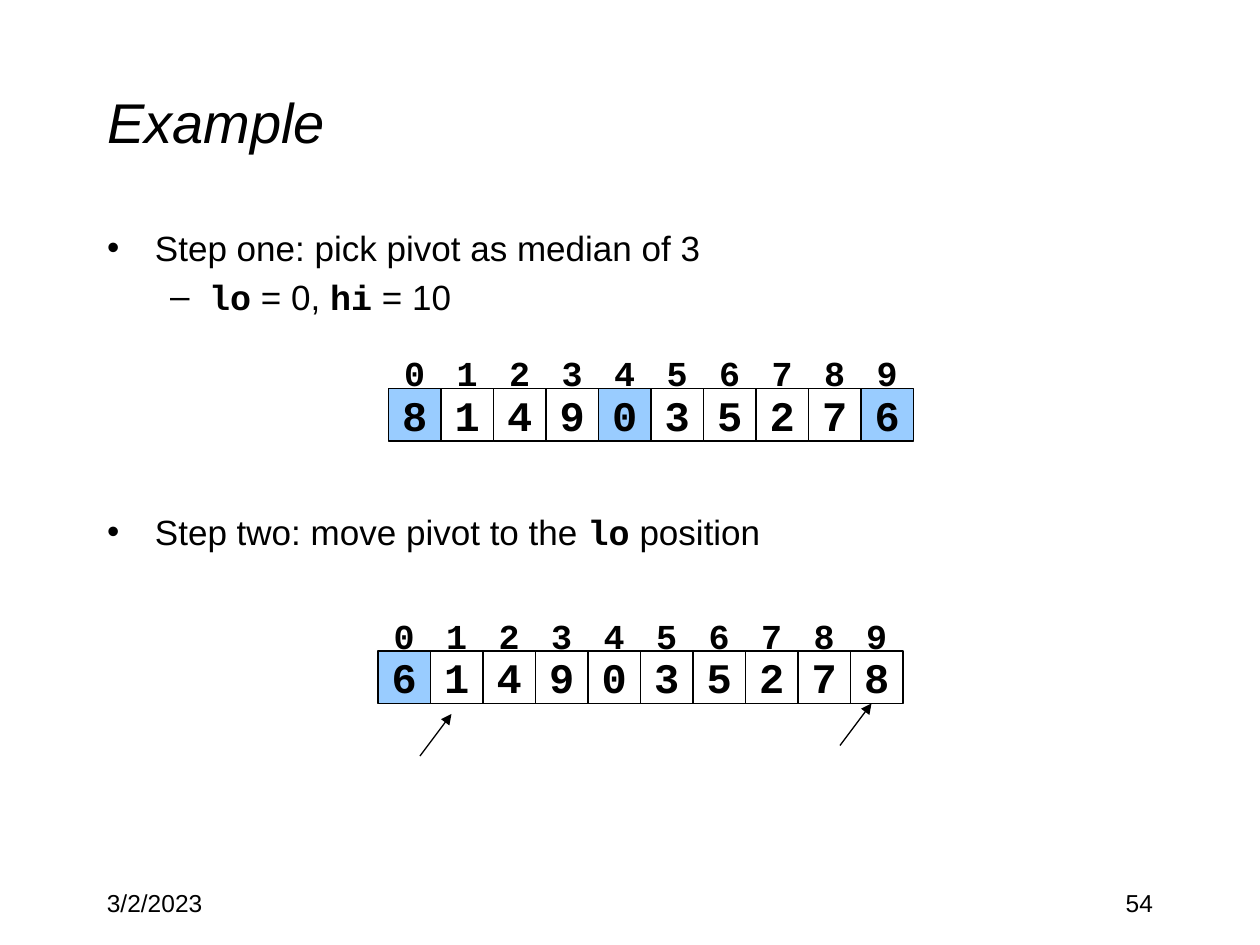
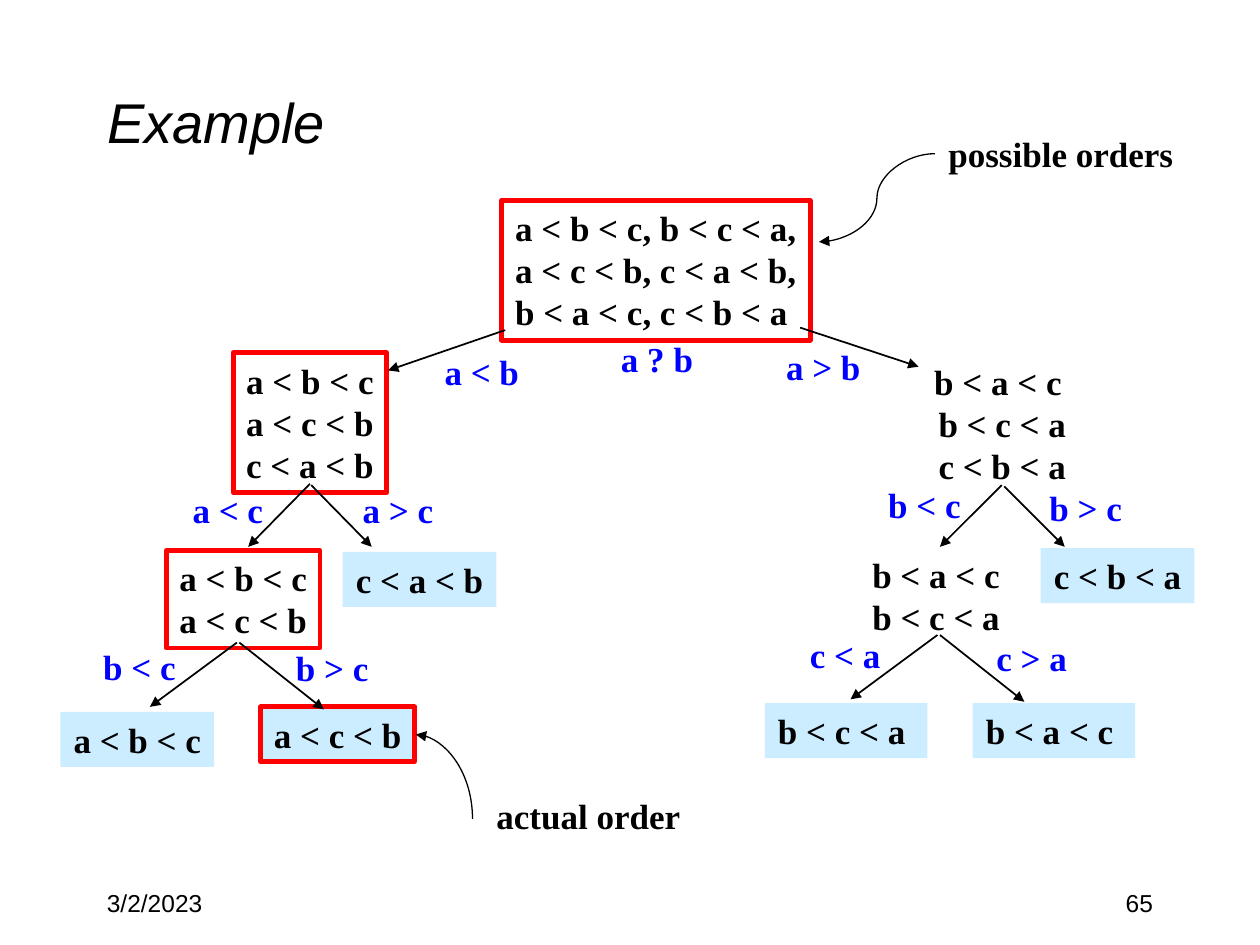
from dataclasses import dataclass
from typing import NamedTuple

from lxml.etree import SubElement as Sub
from pptx import Presentation
from pptx.dml.color import RGBColor as Rgb
from pptx.enum.shapes import MSO_CONNECTOR as Conn, MSO_SHAPE as Kind
from pptx.enum.text import MSO_ANCHOR as Anchor, MSO_AUTO_SIZE as Fit, PP_ALIGN as Align
from pptx.oxml.ns import qn
from pptx.util import Emu, Pt

SCALE = 3048


@dataclass(frozen=True)
class Theme:
    black: str = "000000"
    white: str = "FFFFFF"
    red: str = "FF0000"
    blue: str = "0000FF"
    mark: str = "99CCFF"
    leaf: str = "CCECFF"
    sans: str = "Arial"
    mono: str = "Courier New"
    serif: str = "Times New Roman"
    title: int = 32
    cell: int = 24
    body: int = 20
    foot: int = 14
    thin: float = 0.75
    edge: float = 1
    frame: float = 2.75


THEME = Theme()


class Area(NamedTuple):
    x: int
    y: int
    w: int
    h: int


class Style(NamedTuple):
    font: str
    size: int
    color: str = THEME.black
    bold: bool = False
    slant: bool = False


class Item(NamedTuple):
    level: int
    words: list[tuple[str, Style]]


class Array(NamedTuple):
    x: int
    y: int
    digits: str
    marked: set[int]


class Node(NamedTuple):
    x: int
    y: int
    w: int
    lines: list[str]
    fill: str = THEME.white
    framed: bool = False


class Label(NamedTuple):
    x: int
    y: int
    w: int
    text: str


class Link(NamedTuple):
    x1: float
    y1: float
    x2: float
    y2: float


HEAD = Style(THEME.sans, THEME.title, slant=True)
PLAIN = Style(THEME.sans, THEME.body)
CODE = Style(THEME.mono, THEME.body, bold=True)
DIGIT = Style(THEME.mono, THEME.cell, bold=True)
ORDER = Style(THEME.serif, THEME.body, bold=True)
TEST = Style(THEME.serif, THEME.body, THEME.blue, True)
FOOT = Style(THEME.sans, THEME.foot)

CELL = 125
RISE = 100
TITLE = Area(225, 100, 2550, 375)
INDENTS = [(114, -114), (243, -93)]

LISTS = [
    (Area(225, 525, 2550, 275), [
        Item(0, [("Step one: pick pivot as median of 3", PLAIN)]),
        Item(1, [("lo", CODE), (" = 0, ", PLAIN), ("hi", CODE), (" = 10", PLAIN)]),
    ]),
    (Area(225, 1200, 2550, 275), [
        Item(0, [("Step two: move pivot to the ", PLAIN), ("lo", CODE), (" position", PLAIN)]),
    ]),
]
ARRAYS = [Array(925, 925, "8149035276", {0, 4, 9}), Array(900, 1550, "6149035278", {0})]
HINTS = [Link(1000, 1800, 1075, 1700), Link(2000, 1775, 2075, 1675)]

NODES = [
    Node(1194, 477, 735, ["a < b < c, b < c < a,", "a < c < b, c < a < b,",
                          "b < a < c, c < b < a "], framed=True),
    Node(555, 840, 366, ["a < b < c", "a < c < b", "c < a < b"], framed=True),
    Node(2193, 843, 387, ["b < a < c ", "b < c < a", "c < b < a"]),
    Node(396, 1311, 366, ["a < b < c", "a < c < b"], framed=True),
    Node(816, 1314, 366, ["c < a < b"], THEME.leaf),
    Node(144, 1695, 366, ["a < b < c"], THEME.leaf),
    Node(621, 1683, 366, ["a < c < b"], THEME.leaf, True),
    Node(2025, 1302, 408, [" b < a < c ", "b < c < a"]),
    Node(2478, 1305, 366, ["c < b < a"], THEME.leaf),
    Node(1821, 1674, 387, ["b < c < a "], THEME.leaf),
    Node(2316, 1674, 387, ["b < a < c "], THEME.leaf),
]
EDGES = [
    Link(1203, 786, 924, 882), Link(1905, 780, 2187, 873),
    Link(738, 1152, 591, 1302), Link(741, 1155, 885, 1302),
    Link(564, 1530, 357, 1683), Link(570, 1530, 771, 1689),
    Link(2232, 1512, 2025, 1665), Link(2238, 1512, 2439, 1671),
    Link(2385, 1155, 2238, 1302), Link(2391, 1158, 2535, 1302),
]
TESTS = [
    Label(1029, 819, 240, "a < b"), Label(1842, 807, 240, "a > b"),
    Label(834, 1149, 231, "a > c"), Label(429, 1149, 231, "a < c"),
    Label(216, 1521, 234, "b < c"), Label(675, 1524, 234, "b > c"),
    Label(2085, 1137, 237, "b < c"), Label(2469, 1143, 237, "b > c"),
    Label(1899, 1494, 237, "c < a"), Label(2343, 1500, 237, "c > a"),
    Label(1449, 789, 234, "a ? b"),
]
NOTES = [Label(2226, 300, 600, "possible orders"), Label(1101, 1875, 600, "actual order")]


def px(value: float) -> Emu:
    return Emu(round(value * SCALE))


def place(shape, area: Area) -> None:
    shape.left, shape.top, shape.width, shape.height = map(px, area)


def write(para, text: str, style: Style) -> None:
    run = para.add_run()
    run.text = text
    font = run.font
    font.name, font.size = style.font, Pt(style.size)
    font.bold, font.italic = style.bold, style.slant
    font.color.rgb = Rgb.from_string(style.color)


def fill_text(shape, lines: list[str], style: Style, align=Align.LEFT,
              anchor=Anchor.TOP, wrap: bool = False, fit=Fit.NONE) -> None:
    frame = shape.text_frame
    frame.word_wrap, frame.auto_size = wrap, fit
    frame.vertical_anchor = anchor
    for i, line in enumerate(lines):
        para = frame.add_paragraph() if i else frame.paragraphs[0]
        para.alignment = align
        write(para, line, style)


def add_text(slide, area: Area, text: str, style: Style, **look) -> None:
    fill_text(slide.shapes.add_textbox(*map(px, area)), [text], style, **look)


def add_rect(slide, area: Area, fill: str | None, line: str | None, width: float):
    rect = slide.shapes.add_shape(Kind.RECTANGLE, *map(px, area))
    rect.shadow.inherit = False
    for paint, color in ((rect.fill, fill), (rect.line.fill, line)):
        if color:
            paint.solid()
            paint.fore_color.rgb = Rgb.from_string(color)
        else:
            paint.background()
    if line:
        rect.line.width = Pt(width)
    return rect


def add_arrow(slide, link: Link, width: float, kind=Conn.STRAIGHT):
    arrow = slide.shapes.add_connector(kind, *map(px, link))
    arrow.line.width = Pt(width)
    arrow.line.color.rgb = Rgb.from_string(THEME.black)
    props = arrow.element.spPr
    Sub(props.find(qn("a:ln")), qn("a:tailEnd"), type="triangle")
    Sub(props, qn("a:effectLst"))
    return arrow


def add_bend(slide, link: Link, width: float) -> None:
    mid_x, mid_y = (link.x1 + link.x2) / 2, (link.y1 + link.y2) / 2
    half_w, half_h = abs(link.y2 - link.y1) / 2, abs(link.x2 - link.x1) / 2
    box = Link(mid_x - half_w, mid_y - half_h, mid_x + half_w, mid_y + half_h)
    props = add_arrow(slide, box, width, Conn.CURVE).element.spPr
    props.find(qn("a:prstGeom")).set("prst", "curvedConnector2")
    turn = props.find(qn("a:xfrm"))
    turn.set("rot", "16200000")
    turn.set("flipV", "1")


def add_list(shape, area: Area, items: list[Item]) -> None:
    place(shape, area)
    frame = shape.text_frame
    frame.auto_size = Fit.NONE
    for i, item in enumerate(items):
        para = frame.add_paragraph() if i else frame.paragraphs[0]
        para.level = item.level
        props = para._p.get_or_add_pPr()
        for name, value in zip(("marL", "indent"), INDENTS[item.level]):
            props.set(name, str(px(value)))
        for text, style in item.words:
            write(para, text, style)


def add_array(slide, array: Array) -> None:
    look = dict(align=Align.CENTER, anchor=Anchor.MIDDLE)
    for i, digit in enumerate(array.digits):
        area = Area(array.x + i * CELL, array.y, CELL, CELL)
        fill = THEME.mark if i in array.marked else None
        fill_text(add_rect(slide, area, fill, THEME.black, THEME.thin), [digit], DIGIT, **look)
        add_text(slide, area._replace(y=array.y - RISE), str(i), CODE, **look)


def tall(count: int) -> int:
    return 30 + 101 * count


def add_node(slide, node: Node) -> None:
    area = Area(node.x, node.y, node.w, tall(len(node.lines)))
    rect = add_rect(slide, area, node.fill, THEME.red if node.framed else None, THEME.frame)
    fill_text(rect, node.lines, ORDER, align=Align.CENTER, fit=Fit.SHAPE_TO_FIT_TEXT)


def add_label(slide, label: Label, style: Style, **look) -> None:
    area = Area(label.x, label.y, label.w, tall(1))
    add_text(slide, area, label.text, style, fit=Fit.SHAPE_TO_FIT_TEXT, **look)


def start(deck, layout: int, number: str):
    slide = deck.slides.add_slide(deck.slide_layouts[layout])
    title = slide.shapes.title
    place(title, TITLE)
    fill_text(title, ["Example"], HEAD, anchor=Anchor.MIDDLE, wrap=True)
    add_text(slide, Area(225, 2100, 625, 150), "3/2/2023", FOOT, wrap=True)
    add_text(slide, Area(2150, 2100, 625, 150), number, FOOT, align=Align.RIGHT, wrap=True)
    return slide


def draw_sort(deck) -> None:
    slide = start(deck, 3, "54")
    for i, (area, items) in enumerate(LISTS, 1):
        add_list(slide.placeholders[i], area, items)
    for array in ARRAYS:
        add_array(slide, array)
    for hint in HINTS:
        add_arrow(slide, hint, THEME.thin)


def draw_tree(deck) -> None:
    slide = start(deck, 5, "65")
    for node in NODES:
        add_node(slide, node)
    for edge in EDGES:
        add_arrow(slide, edge, THEME.edge)
    for test in TESTS:
        add_label(slide, test, TEST)
    for note in NOTES:
        add_label(slide, note, ORDER, align=Align.CENTER, anchor=Anchor.MIDDLE, wrap=True)
    add_arrow(slide, Link(2226, 366, 1950, 576), THEME.thin, Conn.CURVE)
    add_bend(slide, Link(1125, 1950, 990, 1749), THEME.thin)


def main() -> None:
    deck = Presentation()
    deck.slide_width, deck.slide_height = px(3000), px(2250)
    draw_sort(deck)
    draw_tree(deck)
    deck.save("out.pptx")


if __name__ == "__main__":
    main()
